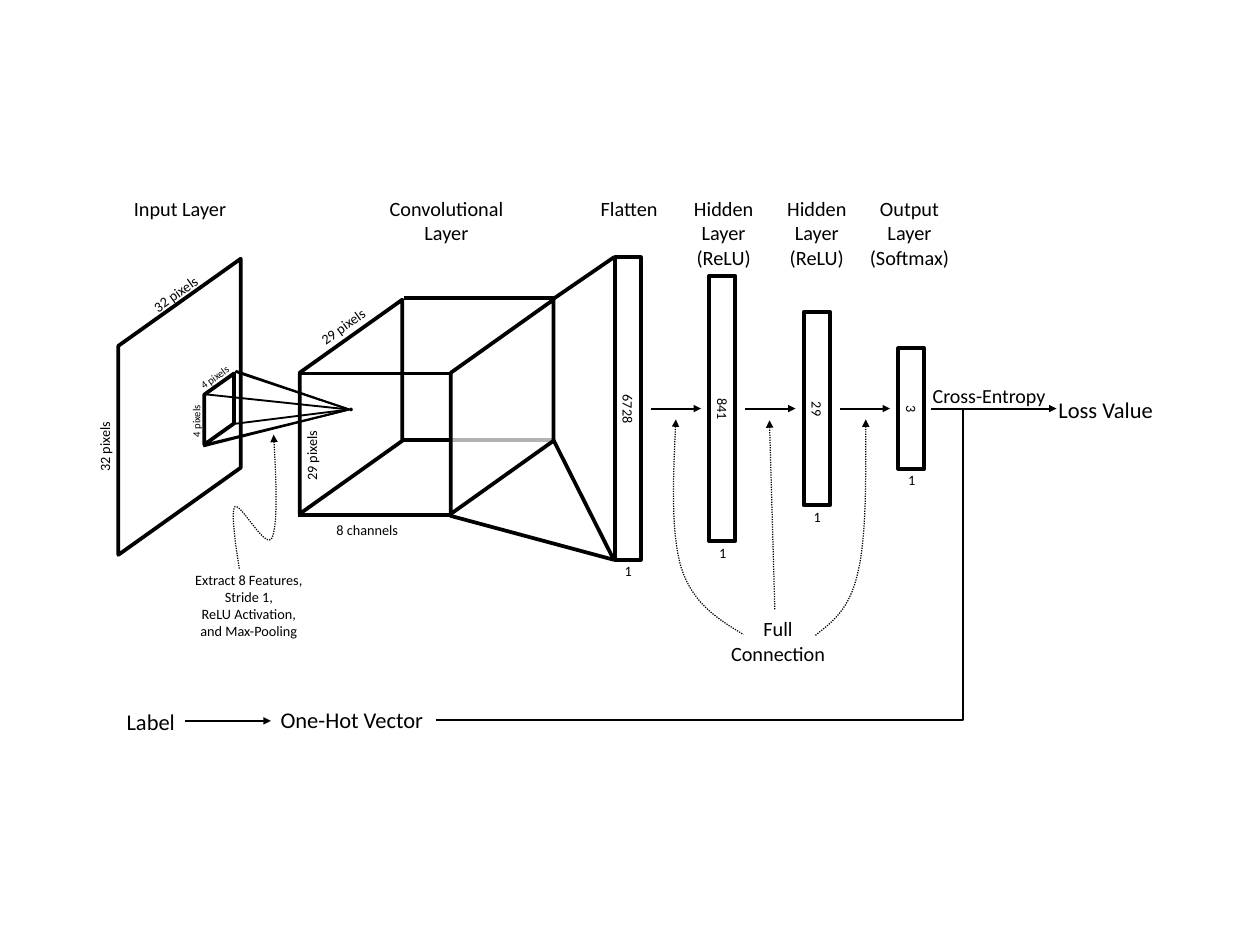
"""Draw a convolutional network from input image to loss value."""
from lxml import etree
from pptx import Presentation
from pptx.dml.color import RGBColor
from pptx.enum import dml, shapes, text
from pptx.oxml.ns import qn
from pptx.util import Inches, Pt

BLACK, WHITE = "000000", "FFFFFF"
MID, STEP = 4.54, 1.05
TIP = (3.88, 4.55)

deck = Presentation()
deck.slide_width, deck.slide_height = Inches(14), Inches(10.5)
slide = deck.slides.add_slide(deck.slide_layouts[6])
items = slide.shapes


def color(code):
    return RGBColor.from_string(code)


def ink(shape, width, end=None, dash=None):
    shape.line.color.rgb = color(BLACK)
    shape.line.width = Pt(width)
    if dash:
        shape.line.dash_style = dash
    props = shape._element.spPr
    if end:
        etree.SubElement(props.find(qn("a:ln")), qn("a:" + end), type="triangle")
    etree.SubElement(props, qn("a:effectLst"))


faces = [
    (0.35, 3.84, 3.29, 1.36, True),
    (2.04, 4.38, 0.79, 0.33, True),
    (2.71, 3.95, 2.38, 1.14, False),
    (4.39, 3.95, 2.38, 1.14, True),
]
for *box, solid in faces:
    face = items.add_shape(shapes.MSO_SHAPE.PARALLELOGRAM, *map(Inches, box))
    face.adjustments[0] = 0.712
    face.rotation = 270
    props = face._element.spPr
    props.find(qn("a:xfrm")).set("flipH", "1")
    if solid:
        face.fill.solid()
        face.fill.fore_color.rgb = color(WHITE)
        tint = props.find(qn("a:solidFill"))[0]
        etree.SubElement(tint, qn("a:alpha"), val="70000")
    else:
        face.fill.background()
    ink(face, 3)

dot = items.add_shape(shapes.MSO_SHAPE.OVAL, *map(Inches, (3.88, 4.53, 0.04, 0.04)))
dot.fill.solid()
dot.fill.fore_color.rgb = color(BLACK)
dot.line.fill.background()
dot.shadow.inherit = False

rays = [(2.61, 4.13), (2.27, 4.94), (2.62, 4.12), (2.6, 4.71), (2.26, 4.96), (2.27, 4.38)]
edges = [
    (3.31, 5.72, 5, 5.72),
    (3.34, 4.15, 5.03, 4.15),
    (4.47, 4.89, 6.15, 4.89),
    (4.49, 3.31, 6.17, 3.31),
    (6.15, 3.32, 6.82, 2.86),
    (6.15, 4.89, 6.82, 6.22),
    (5, 5.73, 6.82, 6.22),
]
arrows = [(7.23 + STEP * i, MID, 7.79 + STEP * i, MID) for i in range(3)]
arrows += [(10.34, MID, 11.74, MID), (2.06, 8.01, 3.01, 8.01)]
lines = [(ray + TIP, 1.5, None) for ray in rays]
lines += [(edge, 3, None) for edge in edges]
lines += [(arrow, 1.5, "tailEnd") for arrow in arrows]
for ends, width, end in lines:
    line = items.add_connector(shapes.MSO_CONNECTOR.STRAIGHT, *map(Inches, ends))
    ink(line, width, end)
items._spTree.append(face._element)

bend = items.add_connector(shapes.MSO_CONNECTOR.ELBOW, *map(Inches, (4.84, 8, 10.76, MID)))
guides = bend._element.spPr.find(qn("a:prstGeom")).get_or_add_avLst()
etree.SubElement(guides, qn("a:gd"), name="adj1", fmla="val 99000")
ink(bend, 1.5)

curves = [
    [(3.04, 4.83), (3.07, 5.34), (3.09, 5.84), (3.02, 5.98),
     (2.95, 6.11), (2.67, 5.58), (2.61, 5.63), (2.55, 5.69), (2.66, 6.32), (2.66, 6.32)],
    [(7.51, 4.66), (7.48, 5.29), (7.45, 5.91), (7.57, 6.31),
     (7.7, 6.71), (7.98, 6.88), (8.26, 7.05)],
    [(8.55, 4.67), (8.57, 5.37), (8.59, 6.07), (8.61, 6.77)],
    [(9.62, 4.66), (9.62, 5.31), (9.63, 5.97), (9.53, 6.37),
     (9.44, 6.77), (9.25, 6.91), (9.06, 7.06)],
]
for knots in curves:
    dots = []
    for i in range(0, len(knots) - 1, 3):
        for t in (n / 16 for n in range(1, 17)):
            parts = ((1 - t) ** 3, 3 * t * (1 - t) ** 2, 3 * t * t * (1 - t), t ** 3)
            dots.append([Inches(sum(p * k for p, k in zip(parts, axis)))
                         for axis in zip(*knots[i:i + 4])])
    pen = items.build_freeform(*map(Inches, knots[0]))
    pen.add_line_segments(dots, close=False)
    curve = pen.convert_to_shape()
    curve.fill.background()
    ink(curve, 1, "headEnd", dml.MSO_LINE.ROUND_DOT)

labels = [
    ("32 pixels", 1.39, 3.12, 1.12, 0.29, 11.4, 324.4),
    ("32 pixels", 0.6, 4.82, 1.12, 0.29, 11.4, 270),
    ("4 pixels", 1.97, 4.07, 0.83, 0.24, 8.5, 324.4),
    ("4 pixels", 1.88, 4.56, 0.6, 0.24, 8.5, 270),
    ("29 pixels", 3.25, 3.48, 1.12, 0.29, 11.4, 324.4),
    ("29 pixels", 2.9, 4.92, 1.12, 0.29, 11.4, 270),
    ("8 channels", 3.52, 5.74, 1.12, 0.29, 11.4, 0),
    ("Extract 8 Features,\nStride 1,\nReLU Activation,\nand Max-Pooling",
     2.01, 6.3, 1.51, 0.87, 11.4, 0),
    ("Input Layer", 1.2, 2.13, 1.6, 0.37, 16.2, 0),
    ("Convolutional\nLayer", 3.76, 2.13, 2.4, 0.65, 16.2, 0),
    ("Flatten", 6.4, 2.13, 1.18, 0.37, 16.2, 0),
    ("Hidden\nLayer\n(ReLU)", 7.53, 2.13, 1.02, 0.92, 16.2, 0),
    ("Hidden\nLayer\n(ReLU)", 8.47, 2.13, 1.21, 0.92, 16.2, 0),
    ("Output\nLayer\n(Softmax)", 9.52, 2.13, 1.17, 0.92, 16.2, 0),
    ("Cross-Entropy", 10.17, 4.21, 1.64, 0.37, 16, 0),
    ("Full\nConnection", 7.88, 6.8, 1.53, 0.65, 16.2, 0),
    ("Label", 1.08, 7.81, 1.19, 0.42, 18, 0),
    ("One-Hot Vector", 2.93, 7.8, 1.96, 0.34, 18, 0),
    ("Loss Value", 11.58, 4.35, 1.41, 0.34, 18, 0),
]
for i, (count, tall) in enumerate([("6728", 3.36), ("841", 2.95), ("29", 2.15), ("3", 1.34)]):
    left = 6.83 + STEP * i
    bar = items.add_shape(shapes.MSO_SHAPE.RECTANGLE,
                          *map(Inches, (left, MID - tall / 2, 0.29, tall)))
    bar.fill.background()
    ink(bar, 3)
    labels.append((count, left - 0.41, 4.4, 1.12, 0.29, 11.4, 90))
    labels.append(("1", left - 0.41, MID + tall / 2 - 0.02, 1.12, 0.29, 11.4, 0))

for words, *box, size, turn in labels:
    label = items.add_textbox(*map(Inches, box))
    label.rotation = turn
    frame = label.text_frame
    frame.word_wrap = True
    frame.text = words
    if words == "Label":
        frame.vertical_anchor = text.MSO_ANCHOR.MIDDLE
    for para in frame.paragraphs:
        para.alignment = text.PP_ALIGN.CENTER
        para.font.name = "Calibri"
        para.font.size = Pt(size)
        para.font.color.rgb = color(BLACK)

deck.save("out.pptx")
